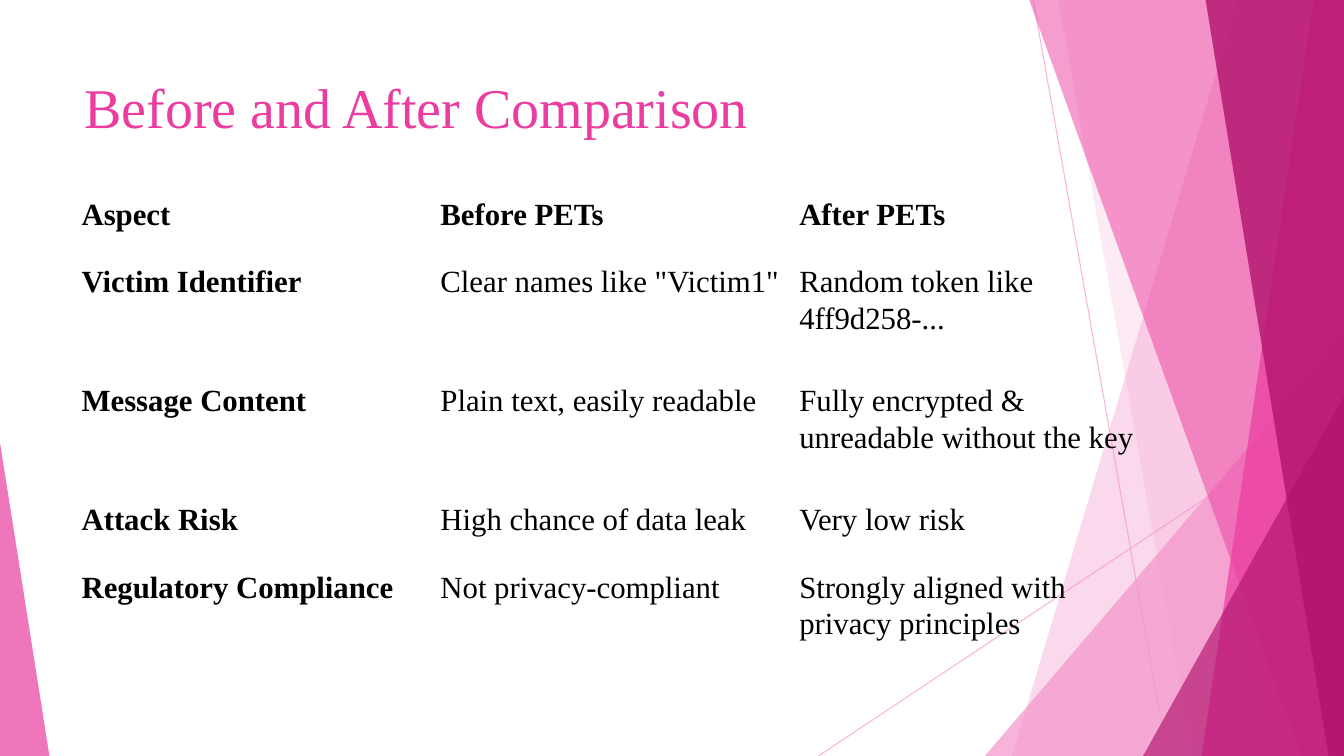
"""Build the before and after comparison slide."""
from lxml.etree import SubElement
from pptx import Presentation
from pptx.dml.color import RGBColor
from pptx.enum.shapes import MSO_CONNECTOR, MSO_SHAPE
from pptx.enum.text import MSO_ANCHOR
from pptx.oxml.ns import qn
from pptx.util import Inches, Pt

WIDE, HIGH = Inches(13.33), Inches(7.5)
FONT = "Times New Roman"
PLAIN = "{2D5ABB26-0587-4C30-8999-92F81FD0307C}"
INK = {"light": "F496CB", "pink": "EB3D9F", "deep": "B2136D", "black": "000000"}
ROWS = [
    ("Aspect", "Before PETs", "After PETs"),
    ("Victim Identifier", 'Clear names like "Victim1"', "Random token like 4ff9d258-..."),
    ("Message Content", "Plain text, easily readable",
     "Fully encrypted & unreadable without the key"),
    ("Attack Risk", "High chance of data leak", "Very low risk"),
    ("Regulatory Compliance", "Not privacy-compliant",
     "Strongly aligned with privacy principles"),
]
TALL = [8.93, 15.73, 15.73, 8.93, 15.73]


def across(share):
    return round(WIDE * share / 100)


def down(share):
    return round(HIGH * share / 100)


def tint(fill, ink, alpha):
    fill.solid()
    fill.fore_color.rgb = RGBColor.from_string(INK[ink])
    for color in fill._xPr.iter(qn("a:srgbClr")):
        SubElement(color, qn("a:alpha"), val=str(alpha * 1000))


def paint(shape, ink, alpha):
    shape.shadow.inherit = False
    shape.line.fill.background()
    tint(shape.fill, ink, alpha)


def band(slide, top, foot, ink, alpha):
    form = slide.shapes.build_freeform(across(top), 0)
    form.add_line_segments([(WIDE, 0), (WIDE, HIGH), (across(foot), HIGH)])
    paint(form.convert_to_shape(), ink, alpha)


def wedge(slide, left, top, width, peak, ink, alpha):
    shape = slide.shapes.add_shape(
        MSO_SHAPE.ISOSCELES_TRIANGLE, across(left), down(top),
        across(width), down(100 - top))
    shape.adjustments[0] = peak
    paint(shape, ink, alpha)


def ray(slide, start, end):
    line = slide.shapes.add_connector(
        MSO_CONNECTOR.STRAIGHT, across(start[0]), down(start[1]),
        across(end[0]), down(end[1]))
    line.line.width = Pt(0.75)
    tint(line.line.fill, "light", 70)
    SubElement(line._element.spPr, qn("a:effectLst"))


def write(frame, text, size=22, ink="black", bold=False, space=None, after=0):
    frame.word_wrap = True
    para = frame.paragraphs[0]
    para.line_spacing = space
    para.space_after = Pt(after)
    run = para.add_run()
    run.text = text
    font = run.font
    font.name, font.size, font.bold = FONT, Pt(size), bold
    font.color.rgb = RGBColor.from_string(INK[ink])


def title(slide, text):
    box = slide.shapes.add_textbox(across(5.55), down(8.93), across(70.5), down(19.2))
    write(box.text_frame, text, size=40, ink="pink")


def grid(slide):
    frame = slide.shapes.add_table(
        len(ROWS), len(ROWS[0]), across(5.55), down(25.87),
        across(80.1), down(sum(TALL)))
    table = frame.table
    table.first_row = table.horz_banding = False
    table._tbl.tblPr.find(qn("a:tableStyleId")).text = PLAIN
    for r, words in enumerate(ROWS):
        table.rows[r].height = down(TALL[r])
        for c, text in enumerate(words):
            cell = table.cell(r, c)
            cell.fill.background()
            cell.margin_left = cell.margin_right = Inches(0.07)
            cell.margin_top = cell.margin_bottom = 0
            cell.vertical_anchor = MSO_ANCHOR.TOP
            write(cell.text_frame, text, bold=r == 0 or c == 0, space=1.07, after=8)


def main():
    deck = Presentation()
    deck.slide_width, deck.slide_height = WIDE, HIGH
    slide = deck.slides.add_slide(deck.slide_layouts[6])
    ray(slide, (76.88, 0), (86.85, 100))
    ray(slide, (100, 53.73), (60.9, 100))
    band(slide, 92.1, 75.3, "light", 36)
    band(slide, 78.75, 88.73, "light", 20)
    wedge(slide, 73.28, 44.4, 26.72, 1, "light", 72)
    band(slide, 76.58, 96.83, "pink", 50)
    band(slide, 97.73, 89.4, "pink", 70)
    band(slide, 89.7, 98.85, "deep", 80)
    wedge(slide, 85.05, 52.4, 14.95, 1, "deep", 66)
    wedge(slide, 0, 58.53, 3.68, 0, "pink", 70)
    title(slide, "Before and After Comparison")
    grid(slide)
    deck.save("out.pptx")


if __name__ == "__main__":
    main()
